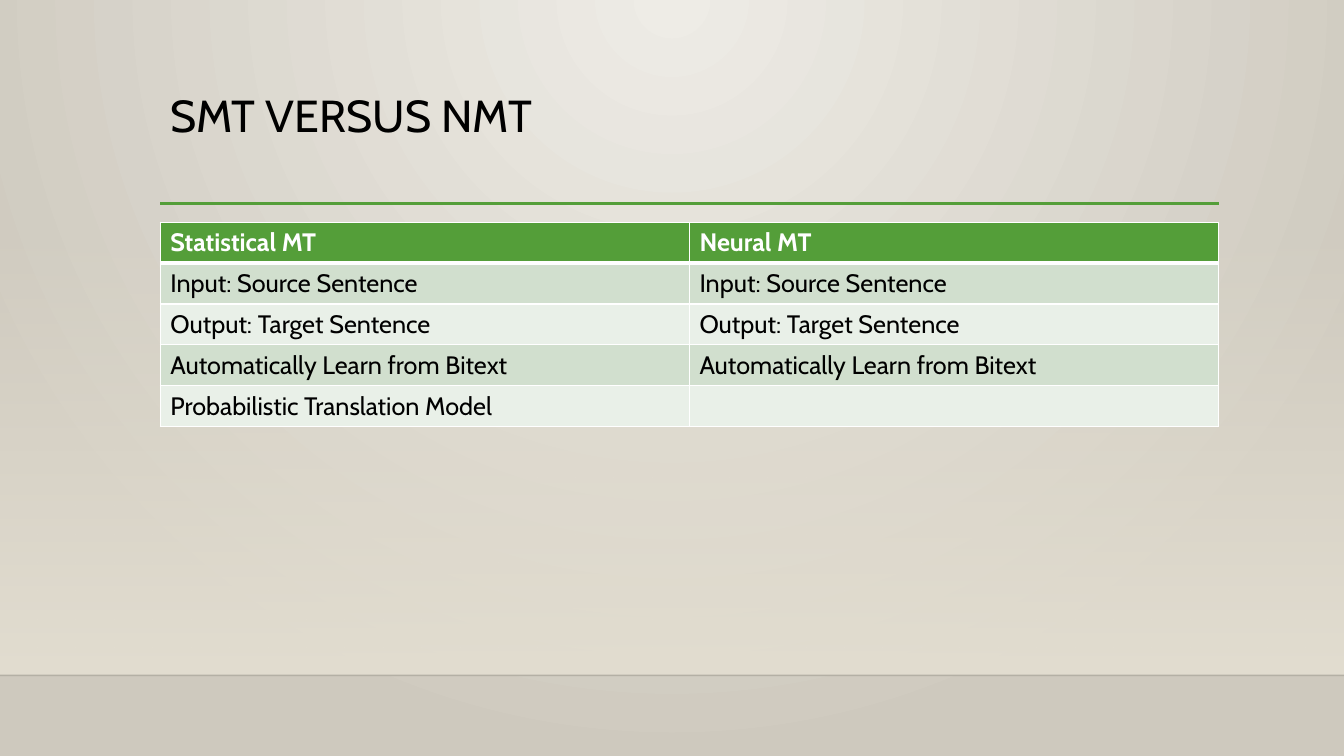
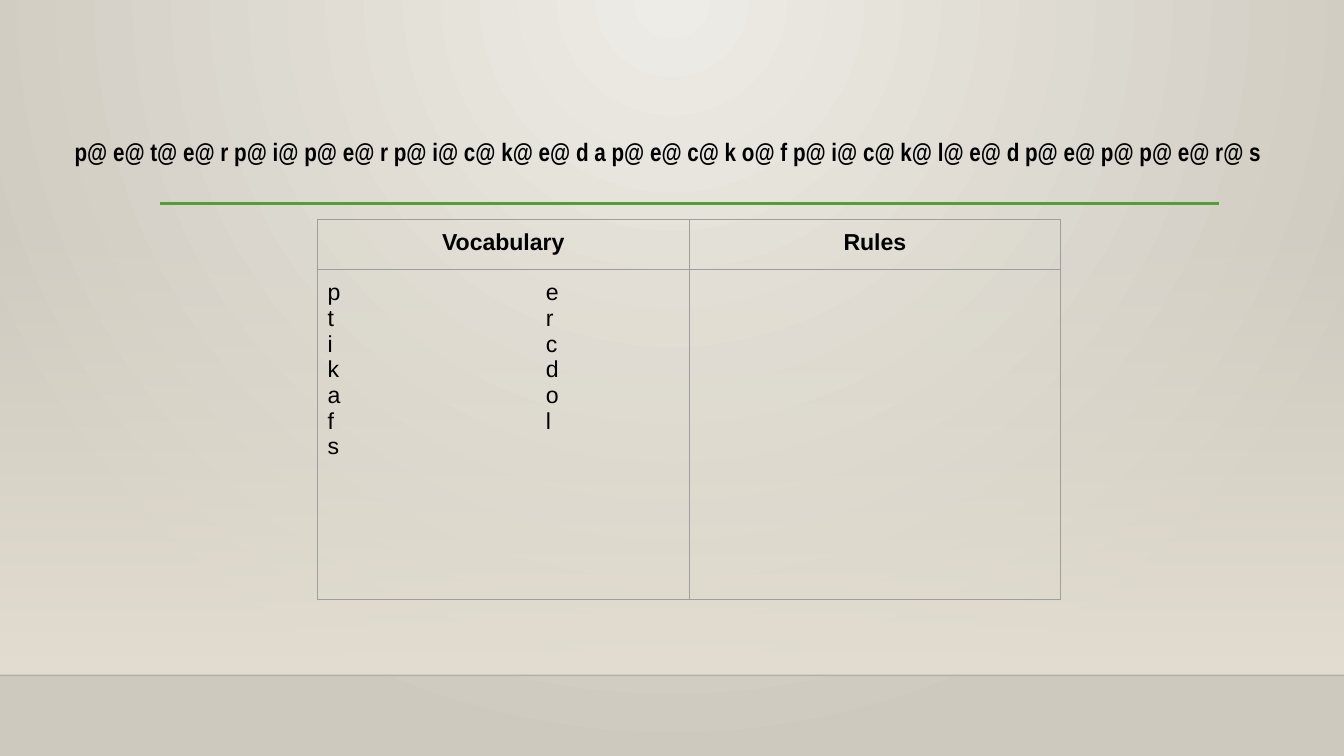
from pptx import Presentation
from pptx.dml.color import RGBColor as RGB
from pptx.enum.shapes import MSO_CONNECTOR as LINE, MSO_SHAPE as SHAPE
from pptx.enum.text import MSO_ANCHOR as ANCHOR, MSO_AUTO_SIZE as AUTO, PP_ALIGN as ALIGN
from pptx.oxml import parse_xml
from pptx.oxml.ns import nsdecls
from pptx.util import Cm, Pt

HUES = {
    "ink": "000000", "white": "FFFFFF", "green": "549E39",
    "dark": "D1DFCE", "light": "E9F0E8", "gray": "9E9E9E",
    "glow": "EEECE6", "stone": "CEC9BE", "sand": "E3DED1",
}
WIDE, HIGH = 33.87, 19.05
LEFT, SPAN = 4.04, 26.67      # content column
RULE, FLOOR = 5.13, 17.02     # green rule, floor line

MODELS = [
    ("Statistical MT", "Neural MT"),
    ("Input: Source Sentence",) * 2,
    ("Output: Target Sentence",) * 2,
    ("Automatically Learn from Bitext",) * 2,
    ("Probabilistic Translation Model", ""),
]
SPLIT = ("p@ e@ t@ e@ r p@ i@ p@ e@ r p@ i@ c@ k@ e@ d a p@ e@ c@ k o@ f "
         "p@ i@ c@ k@ l@ e@ d p@ e@ p@ p@ e@ r@ s")
LETTERS = "p\te\nt\tr\ni\tc\nk\td\na\to\nf\tl\ns"


def hue(name):
    return RGB.from_string(HUES[name])


def node(tag, inner="", attrs=""):
    return parse_xml(f"<a:{tag} {nsdecls('a')} {attrs}>{inner}</a:{tag}>")


def blend(fill, root, stops, shade):
    """Fill with a gradient of (position, colour, opacity) stops."""
    fill.gradient()
    grad = root.xpath(".//a:gradFill")[0]
    for child in list(grad):
        grad.remove(child)
    marks = "".join(
        f'<a:gs pos="{pos * 1000}"><a:srgbClr val="{HUES[name]}">'
        f'<a:alpha val="{alpha * 1000}"/></a:srgbClr></a:gs>'
        for pos, name, alpha in stops)
    grad.append(node("gsLst", marks))
    grad.append(shade)


def style(frame, font, size, name="ink", bold=False, align=ALIGN.LEFT):
    for para in frame.paragraphs:
        para.alignment = align
        for run in para.runs:
            run.font.name, run.font.size = font, Pt(size)
            run.font.bold, run.font.color.rgb = bold, hue(name)


# Shared backdrop
def backdrop(master):
    rect = '<a:fillToRect l="43000" t="0" r="43000" b="100000"/>'
    blend(master.background.fill, master.element.cSld,
          [(0, "glow", 100), (100, "stone", 100)],
          node("path", rect, 'path="circle"'))


def stroke(slide, x, y, width, name, weight, alpha=100):
    line = slide.shapes.add_connector(
        LINE.STRAIGHT, Cm(x), Cm(y), Cm(x + width), Cm(y))
    line.line.color.rgb, line.line.width = hue(name), Pt(weight)
    props = line.element.spPr
    props.xpath(".//a:srgbClr")[0].append(
        node("alpha", attrs=f'val="{alpha * 1000}"'))
    props.append(node("effectLst"))


def stage(slide):
    top = 5.61
    wall = slide.shapes.add_shape(
        SHAPE.RECTANGLE, 0, Cm(top), Cm(WIDE), Cm(FLOOR - top))
    wall.shadow.inherit = False
    wall.line.fill.background()
    blend(wall.fill, wall.element.spPr, [(0, "sand", 0), (100, "sand", 100)],
          node("lin", attrs='ang="5400000" scaled="0"'))
    stroke(slide, 0, FLOOR, WIDE, "ink", 1, 20)
    stroke(slide, LEFT, RULE, SPAN, "green", 2.5)


# Text regions
def heading(slide, text, box):
    title = slide.shapes.title
    title.left, title.top, title.width, title.height = map(Cm, box)
    frame = title.text_frame
    frame.text = text
    frame.vertical_anchor, frame.auto_size = ANCHOR.TOP, AUTO.NONE
    frame.paragraphs[0].line_spacing = 0.9
    style(frame, "Cabin", 32)


def caption(slide, text, box):
    frame = slide.shapes.add_textbox(*map(Cm, box)).text_frame
    frame.text = text
    frame.word_wrap = False
    style(frame, "Arial Narrow", 18, bold=True)


# Tables
def border(cell, name, top, base, side):
    props = cell._tc.get_or_add_tcPr()
    paint = f'<a:solidFill><a:srgbClr val="{HUES[name]}"/></a:solidFill>'
    for edge, weight in zip("LRTB", (side, side, top, base)):
        props.append(node(f"ln{edge}", paint, f'w="{Pt(weight)}"'))


def grid(slide, rows, box, highs):
    x, y, width = box
    table = slide.shapes.add_table(
        len(rows), len(rows[0]), Cm(x), Cm(y), Cm(width), Cm(sum(highs))).table
    table.first_row = table.horz_banding = False
    for row, high in zip(table.rows, highs):
        row.height = Cm(high)
    for r, texts in enumerate(rows):
        for c, text in enumerate(texts):
            cell = table.cell(r, c)
            cell.text_frame.text = text
            yield r, cell


def compare(slide, rows, box):
    for r, cell in grid(slide, rows, box, [1.03] * len(rows)):
        head = r == 0
        border(cell, "white", 3 if r == 1 else 1, 3 if head else 1, 1)
        cell.fill.solid()
        tint = "green" if head else ("light", "dark")[r % 2]
        cell.fill.fore_color.rgb = hue(tint)
        style(cell.text_frame, "Cabin", 18, "white" if head else "ink", head)


def lexicon(slide, rows, box):
    for r, cell in grid(slide, rows, box, [1.26, 8.31]):
        head = r == 0
        border(cell, "gray", 0.75, 0.75, 0.75)
        cell.fill.background()
        cell.margin_top = cell.margin_bottom = Cm(0.25)
        for para in cell.text_frame.paragraphs:
            stop = f'<a:tab pos="{Cm(5.5)}" algn="l"/>'
            para._p.get_or_add_pPr().append(node("tabLst", stop))
        style(cell.text_frame, "Arial", 16.5, bold=head,
              align=ALIGN.CENTER if head else ALIGN.LEFT)


# Slides
def versus(deck):
    slide = deck.slides.add_slide(deck.slide_layouts[5])
    stage(slide)
    heading(slide, "SMT VERSUS NMT", (LEFT, 2.24, SPAN, 2.92))
    compare(slide, MODELS, (LEFT, 5.6, SPAN))


def pieces(deck):
    slide = deck.slides.add_slide(deck.slide_layouts[6])
    stage(slide)
    lexicon(slide, [("Vocabulary", "Rules"), (LETTERS, "")], (8, 5.54, 18.73))
    caption(slide, SPLIT, (1.63, 3.3, 31.06, 1.02))


def main():
    deck = Presentation()
    deck.slide_width, deck.slide_height = Cm(WIDE), Cm(HIGH)
    backdrop(deck.slide_master)
    versus(deck)
    pieces(deck)
    deck.save("out.pptx")


if __name__ == "__main__":
    main()
